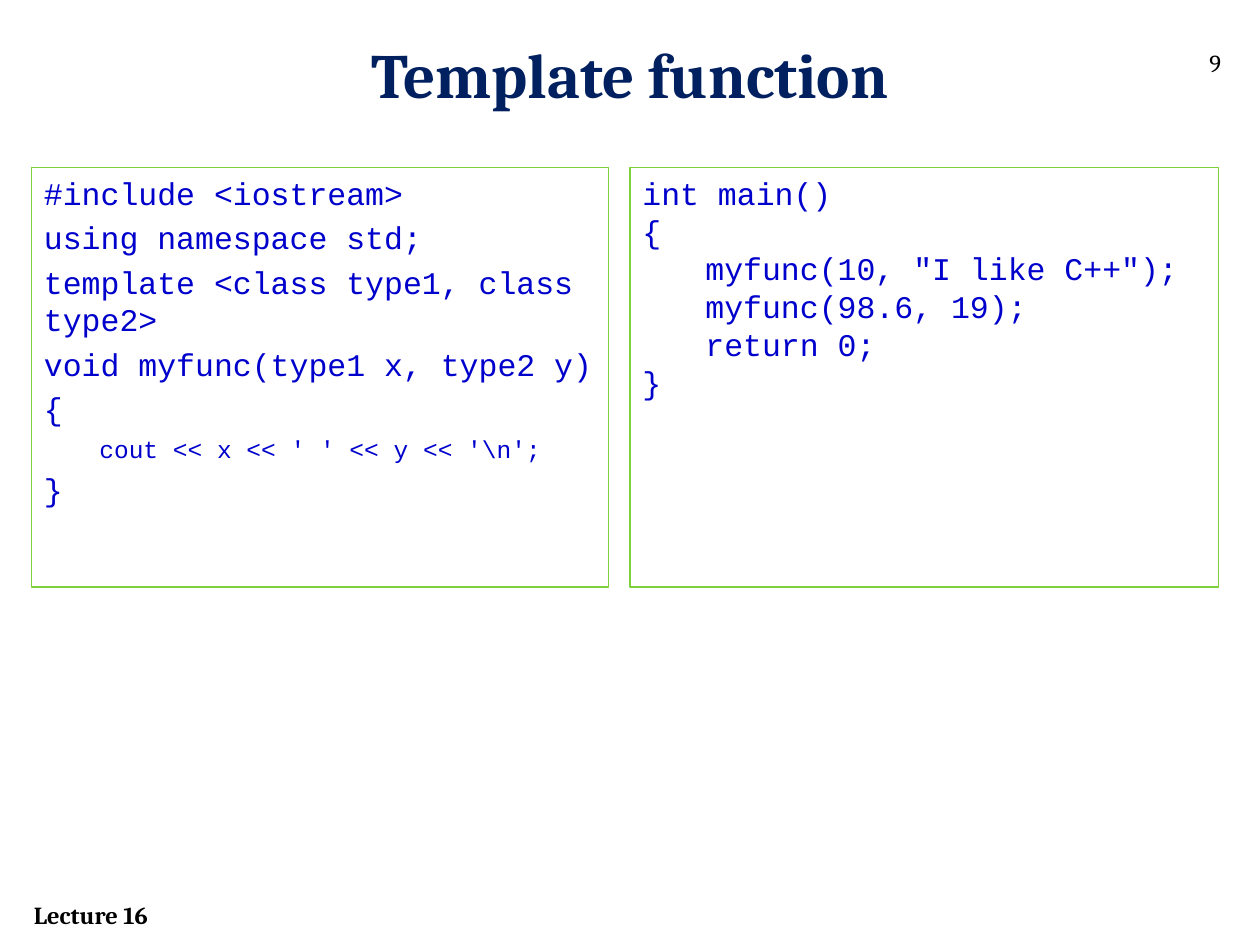
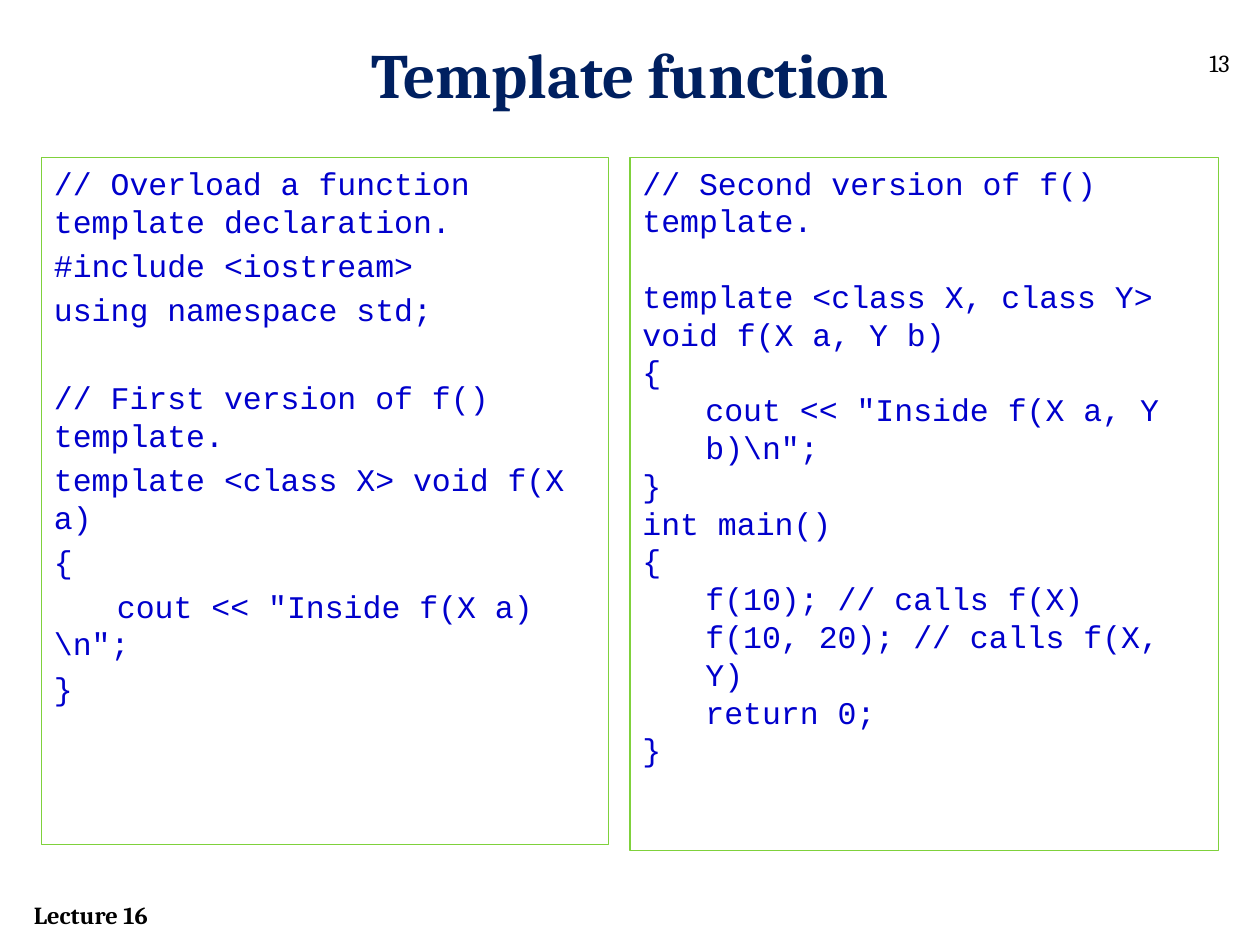
from dataclasses import dataclass

from pptx import Presentation, util as u
from pptx.dml.color import RGBColor
from pptx.enum import shapes, text

BLACK, NAVY, BLUE, GREEN = "000000", "002060", "0000CC", "7FD13B"
SERIF, MONO = "Cambria", "Courier New"
LABEL = {"name": SERIF, "size": u.Pt(14), "bold": False}
FOOTER = {**LABEL, "bold": True}
TITLE = {"name": SERIF, "size": u.Pt(36), "bold": True}
CODE = {"name": MONO, "size": u.Pt(18), "bold": False}
SMALL_CODE = {**CODE, "size": u.Pt(14)}
BLANK_LINE = 21.5  # points


@dataclass(frozen=True)
class Line:
    text: str
    indent: float = 0
    gap: float = 0  # extra points above
    font: dict | None = None


@dataclass(frozen=True)
class Panel:
    left: float
    top: float
    width: float
    height: float
    spacing: float  # points above every line but the first
    lines: tuple[Line, ...]


@dataclass(frozen=True)
class CodeSlide:
    number: int
    panels: tuple[Panel, ...]


SLIDES = (
    CodeSlide(9, (
        Panel(0.25, 1.33, 4.58, 3.33, 3.8, (
            Line("#include <iostream>"),
            Line("using namespace std;"),
            Line("template <class type1, class type2>"),
            Line("void myfunc(type1 x, type2 y)"),
            Line("{"),
            Line("cout << x << ' ' << y << '\\n';", 0.44, font=SMALL_CODE),
            Line("}"),
        )),
        Panel(5, 1.33, 4.67, 3.33, 0, (
            Line("int main()"),
            Line("{"),
            Line('myfunc(10, "I like C++");', 0.5),
            Line("myfunc(98.6, 19);", 0.5),
            Line("return 0;", 0.5),
            Line("}"),
        )),
    )),
    CodeSlide(13, (
        Panel(0.33, 1.25, 4.5, 5.45, 3.8, (
            Line("// Overload a function template declaration."),
            Line("#include <iostream>"),
            Line("using namespace std;"),
            Line("// First version of f() template.", gap=BLANK_LINE + 3),
            Line("template <class X> void f(X a)"),
            Line("{"),
            Line('\tcout << "Inside f(X a)\\n";'),
            Line("}"),
        )),
        Panel(5, 1.25, 4.67, 5.5, 0, (
            Line("// Second version of f() template."),
            Line("template <class X, class Y> void f(X a, Y b)", gap=BLANK_LINE),
            Line("{"),
            Line('cout << "Inside f(X a, Y b)\\n";', 0.5),
            Line("}"),
            Line("int main()"),
            Line("{"),
            Line("f(10); // calls f(X)", 0.5),
            Line("f(10, 20); // calls f(X, Y)", 0.5),
            Line("return 0;", 0.5),
            Line("}"),
        )),
    )),
)


def rgb(color: str) -> RGBColor:
    return RGBColor.from_string(color)


def add_run(p, words: str, font: dict, color: str) -> None:
    r = p.add_run()
    r.text = words
    for name, value in font.items():
        setattr(r.font, name, value)
    r.font.color.rgb = rgb(color)


def add_label(s, box: tuple, words: str, font: dict, color: str = BLACK,
              align=text.PP_ALIGN.LEFT) -> None:
    tf = s.shapes.add_textbox(*map(u.Inches, box)).text_frame
    tf.word_wrap = True
    p = tf.paragraphs[0]
    p.alignment = align
    add_run(p, words, font, color)


def add_panel(s, panel: Panel) -> None:
    box = (panel.left, panel.top, panel.width, panel.height)
    sp = s.shapes.add_shape(shapes.MSO_SHAPE.RECTANGLE, *map(u.Inches, box))
    sp.shadow.inherit = False
    sp.fill.background()
    sp.line.color.rgb = rgb(GREEN)
    sp.line.width = u.Pt(0.75)
    tf = sp.text_frame
    tf.word_wrap = True
    tf.vertical_anchor = text.MSO_ANCHOR.TOP
    for i, line in enumerate(panel.lines):
        p = tf.add_paragraph() if i else tf.paragraphs[0]
        p.alignment = text.PP_ALIGN.LEFT
        if i:
            p.space_before = u.Pt(panel.spacing + line.gap)
        if line.indent:
            p.level = 1
            p._p.get_or_add_pPr().set("marL", str(u.Inches(line.indent)))
        add_run(p, line.text, line.font or CODE, BLUE)


def add_code_slide(prs, content: CodeSlide) -> None:
    s = prs.slides.add_slide(prs.slide_layouts[6])
    add_label(s, (0.17, 7.09, 2, 0.34), "Lecture 16", FOOTER)
    add_label(s, (9.5, 0.33, 0.42, 0.4), str(content.number), LABEL)
    for panel in content.panels:
        add_panel(s, panel)
    add_label(s, (0.5, 0.23, 9, 0.68), "Template function", TITLE, NAVY,
              text.PP_ALIGN.CENTER)


def main() -> None:
    prs = Presentation()
    prs.slide_width, prs.slide_height = u.Inches(10), u.Inches(7.5)
    for content in SLIDES:
        add_code_slide(prs, content)
    prs.save("out.pptx")


if __name__ == "__main__":
    main()
